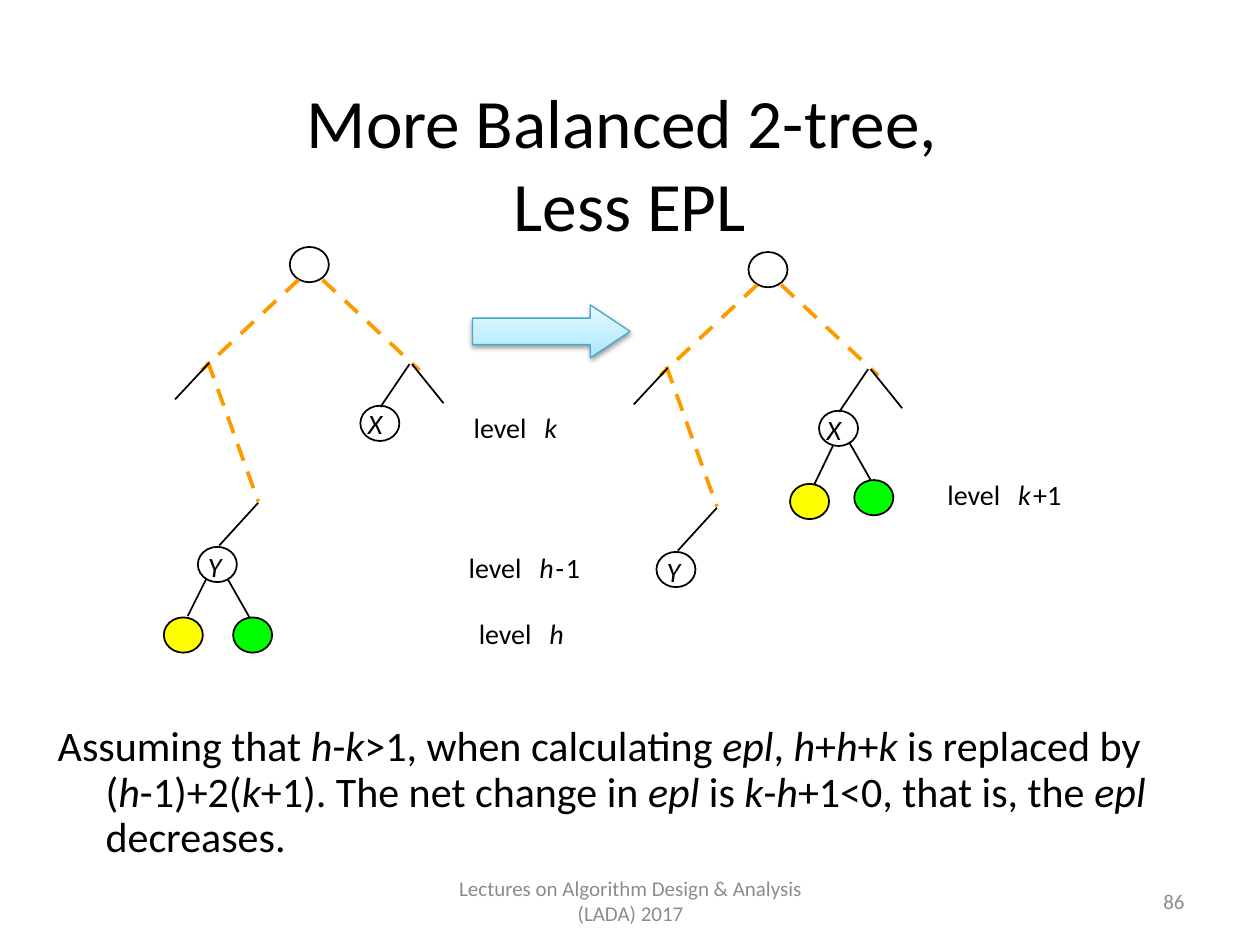
import math
from dataclasses import dataclass

import pptx
import pptx.dml.color
import pptx.enum.shapes
import pptx.enum.text
import pptx.oxml
import pptx.oxml.ns
import pptx.util
from pptx.util import Inches

FONT = "Calibri"
BLACK, WHITE, GREY = "000000", "FFFFFF", "8C8C8C"
YELLOW, GREEN, ORANGE = "FFFF00", "00FF00", "FF9900"
NODE_WIDTH, NODE_HEIGHT = 0.31, 0.28
DASH_LENGTH, DASH_WIDTH = 0.14, 0.03
NAMESPACE = 'xmlns:a="http://schemas.openxmlformats.org/drawingml/2006/main"'

Point = tuple[float, float]
Line = tuple[Point, Point]


@dataclass
class Node:
    left: float
    top: float
    fill: str = WHITE


@dataclass
class Path:
    start: Point
    end: Point
    dashes: int
    last: float  # length of the last, shorter dash


@dataclass
class Tree:
    shift: Point
    leaves: list[Node]
    leaf_edges: list[Line]


@dataclass
class Label:
    left: float
    top: float
    pieces: list[tuple[str, float]]  # wording and distance from the left


# Parts shared by both trees, placed for the left one
NODES = [Node(2.3, 1.96), Node(2.86, 3.22), Node(1.57, 4.34)]
PATHS = [
    Path((2.37, 2.22), (1.6, 2.94), 5, 0.08),
    Path((2.56, 2.22), (3.33, 2.94), 5, 0.08),
    Path((1.65, 2.87), (2.05, 3.98), 6, 0.02),
]
EDGES = [
    ((1.66, 2.88), (1.39, 3.17)),
    ((3.25, 2.89), (3.02, 3.23)),
    ((3.27, 2.89), (3.52, 3.2)),
    ((2.05, 3.99), (1.74, 4.33)),
]
NAMES = [Label(2.92, 3.23, [("X", 0)]), Label(1.65, 4.36, [("Y", 0)])]

TREES = [
    Tree((0, 0),
         [Node(1.3, 4.9, YELLOW), Node(1.85, 4.9, GREEN)],
         [((1.64, 4.59), (1.49, 4.89)), ((1.81, 4.6), (1.98, 4.9))]),
    Tree((3.64, 0.04),
         [Node(6.27, 3.84, YELLOW), Node(6.78, 3.81, GREEN)],
         [((6.61, 3.54), (6.46, 3.85)), ((6.74, 3.51), (6.91, 3.81))]),
]
LEVELS = [
    Label(3.76, 3.26, [("level", 0), ("k", 0.56)]),
    Label(3.72, 4.37, [("level", 0), ("h", 0.56), ("-", 0.69), ("1", 0.77)]),
    Label(3.8, 4.89, [("level", 0), ("h", 0.56)]),
    Label(7.52, 3.79, [("level", 0), ("k", 0.56), ("+1", 0.68)]),
]
VARIABLES = {"X", "Y", "h", "k", "epl"}

# Variables stand between bars and are set in italics
CONCLUSION = (
    "Assuming that |h|-|k|>1, when calculating |epl|, |h|+|h|+|k| is replaced by "
    "(|h|-1)+2(|k|+1). The net change in |epl| is |k|-|h|+1<0, that is, the |epl| decreases."
)


def color(value: str) -> pptx.dml.color.RGBColor:
    return pptx.dml.color.RGBColor.from_string(value)


def style(font, size: float, value: str = BLACK, italic: bool = False) -> None:
    font.name = FONT
    font.size = pptx.util.Pt(size)
    font.color.rgb = color(value)
    font.italic = italic


def add_text(page, left: float, top: float, width: float, height: float,
             text: str, size: float, value: str = BLACK, align: str = "CENTER"):
    box = page.shapes.add_textbox(Inches(left), Inches(top), Inches(width), Inches(height))
    frame = box.text_frame
    frame.word_wrap = True
    frame.vertical_anchor = pptx.enum.text.MSO_ANCHOR.MIDDLE
    frame.text = text
    para = frame.paragraphs[0]
    para.alignment = pptx.enum.text.PP_ALIGN[align]
    for span in para.runs:
        style(span.font, size, value)
    return box


def add_label(page, label: Label, shift: Point = (0, 0)) -> None:
    for text, offset in label.pieces:
        box = page.shapes.add_textbox(
            Inches(label.left + offset + shift[0]), Inches(label.top + shift[1]),
            Inches(0.12 * len(text) + 0.1), Inches(0.32))
        frame = box.text_frame
        frame.margin_left = frame.margin_right = frame.margin_top = frame.margin_bottom = 0
        frame.word_wrap = False
        frame.text = text
        style(frame.paragraphs[0].runs[0].font, 16, italic=text in VARIABLES)


def add_node(page, node: Node, shift: Point = (0, 0)) -> None:
    circle = page.shapes.add_shape(
        pptx.enum.shapes.MSO_SHAPE.OVAL,
        Inches(node.left + shift[0]), Inches(node.top + shift[1]),
        Inches(NODE_WIDTH), Inches(NODE_HEIGHT))
    circle.shadow.inherit = False
    circle.fill.solid()
    circle.fill.fore_color.rgb = color(node.fill)
    circle.line.color.rgb = color(BLACK)
    circle.line.width = pptx.util.Pt(1)


def add_line(page, ends: Line, shift: Point = (0, 0)) -> None:
    (x1, y1), (x2, y2) = ends
    dx, dy = shift
    line = page.shapes.add_connector(
        pptx.enum.shapes.MSO_CONNECTOR.STRAIGHT,
        Inches(x1 + dx), Inches(y1 + dy), Inches(x2 + dx), Inches(y2 + dy))
    line.line.color.rgb = color(BLACK)
    line.line.width = pptx.util.Pt(1)
    line._element.spPr.append(pptx.oxml.parse_xml(f"<a:effectLst {NAMESPACE}/>"))


def add_path(page, path: Path, shift: Point) -> None:
    """Draw equally spaced bars from start to end."""
    x, y = path.start[0] + shift[0], path.start[1] + shift[1]
    length = math.dist(path.start, path.end)
    ux, uy = [(b - a) / length for a, b in zip(path.start, path.end)]
    pitch = (length - path.last) / (path.dashes - 1)
    half = DASH_WIDTH / 2
    for index in range(path.dashes):
        near = index * pitch
        far = min(near + DASH_LENGTH, length)
        corners = [
            (Inches(x + along * ux - across * uy), Inches(y + along * uy + across * ux))
            for along, across in [(near, -half), (near, half), (far, half), (far, -half)]]
        builder = page.shapes.build_freeform(*corners[0])
        builder.add_line_segments(corners[1:], close=True)
        dash = builder.convert_to_shape()
        dash.shadow.inherit = False
        dash.fill.solid()
        dash.fill.fore_color.rgb = color(ORANGE)
        dash.line.fill.background()


def add_tree(page, tree: Tree) -> None:
    for node in NODES:
        add_node(page, node, tree.shift)
    for leaf in tree.leaves:
        add_node(page, leaf)
    for path in PATHS:
        add_path(page, path, tree.shift)
    for ends in EDGES:
        add_line(page, ends, tree.shift)
    for ends in tree.leaf_edges:
        add_line(page, ends)
    for name in NAMES:
        add_label(page, name, tree.shift)


def add_arrow(page) -> None:
    arrow = page.shapes.add_shape(
        pptx.enum.shapes.MSO_SHAPE.RIGHT_ARROW,
        Inches(3.75), Inches(2.42), Inches(1.25), Inches(0.42))
    arrow.adjustments[1] = 0.75
    arrow.line.color.rgb = color("46AAC5")
    arrow.line.width = pptx.util.Pt(0.75)
    arrow.shadow.inherit = False
    properties = arrow._element.spPr
    stops = "".join(
        f'<a:gs pos="{position * 1000}"><a:srgbClr val="{value}"/></a:gs>'
        for position, value in [(0, "A7E6FF"), (35, "C1EDFF"), (100, "E7F8FF")])
    properties.find(pptx.oxml.ns.qn("a:prstGeom")).addnext(pptx.oxml.parse_xml(
        f'<a:gradFill {NAMESPACE}><a:gsLst>{stops}</a:gsLst><a:lin ang="16200000"/></a:gradFill>'))
    properties.find(pptx.oxml.ns.qn("a:effectLst")).append(pptx.oxml.parse_xml(
        f'<a:outerShdw {NAMESPACE} blurRad="39370" dist="20320" dir="5400000" rotWithShape="0">'
        '<a:srgbClr val="000000"><a:alpha val="38000"/></a:srgbClr></a:outerShdw>'))


def add_conclusion(page) -> None:
    box = add_text(page, 0.36, 5.71, 8.98, 1.2, "", 24, align="LEFT")
    box.text_frame.vertical_anchor = pptx.enum.text.MSO_ANCHOR.TOP
    para = box.text_frame.paragraphs[0]
    para.line_spacing = 0.9
    para._p.get_or_add_pPr().set("marL", str(Inches(0.38)))
    para._p.get_or_add_pPr().set("indent", str(-Inches(0.38)))
    for text in CONCLUSION.split("|"):
        span = para.add_run()
        span.text = text
        style(span.font, 24, italic=text in VARIABLES)


def main() -> None:
    deck = pptx.Presentation()
    deck.slide_width, deck.slide_height = Inches(10), Inches(7.5)
    page = deck.slides.add_slide(deck.slide_layouts[6])
    # Title and conclusion
    add_text(page, 0.5, 0.71, 9, 1.15, "More Balanced 2-tree, \vLess EPL", 39.6)
    add_conclusion(page)
    # Trees before and after, with their levels
    for tree in TREES:
        add_tree(page, tree)
    for level in LEVELS:
        add_label(page, level)
    add_arrow(page)
    # Footer
    add_text(page, 7.17, 6.95, 2.33, 0.4, "86", 12, GREY, "RIGHT")
    add_text(page, 3.42, 6.95, 3.17, 0.4,
             "Lectures on Algorithm Design & Analysis (LADA) 2017", 12, GREY)
    deck.save("out.pptx")


if __name__ == "__main__":
    main()
